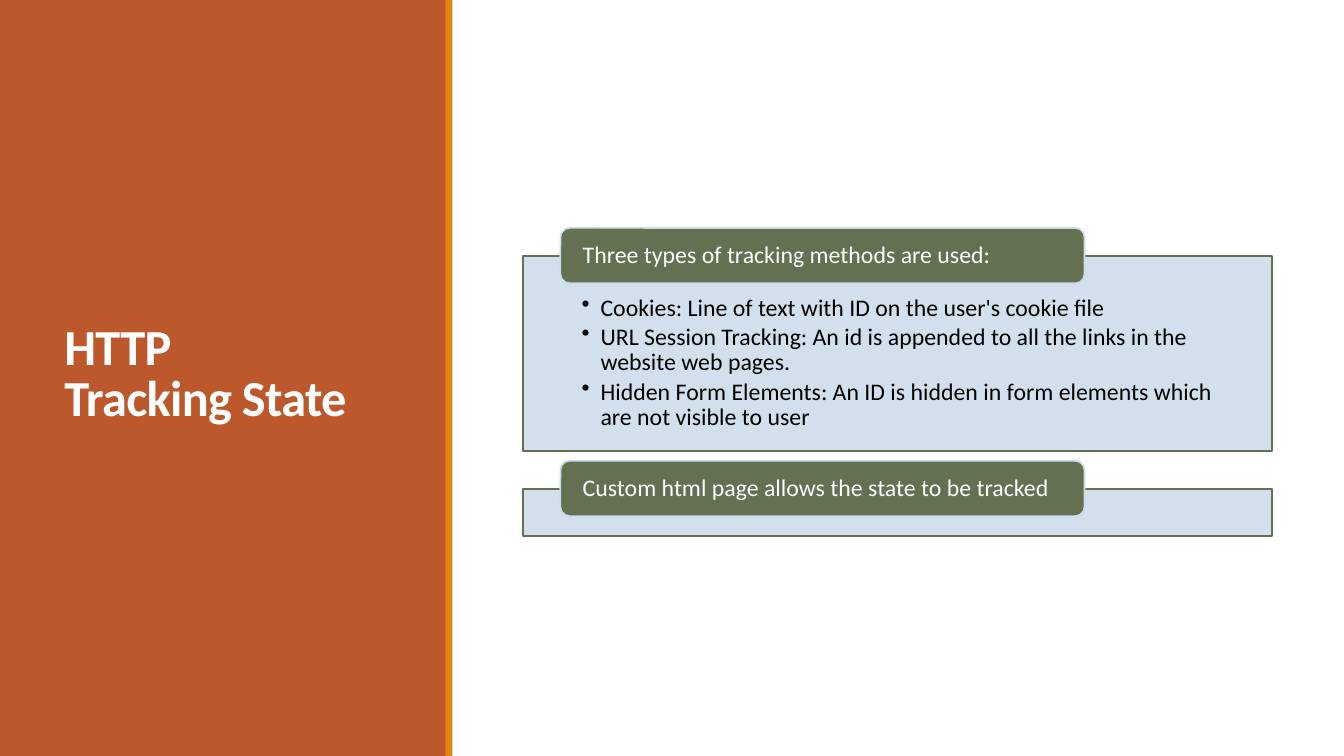
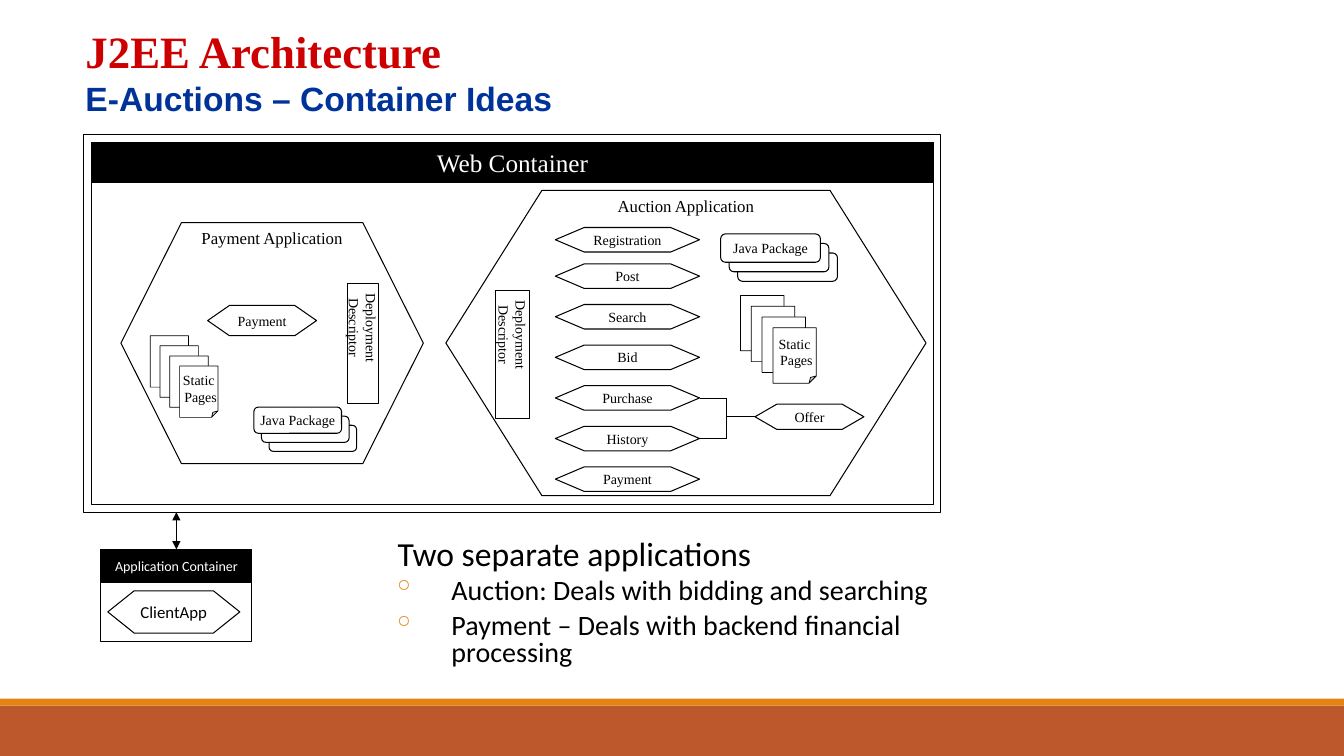
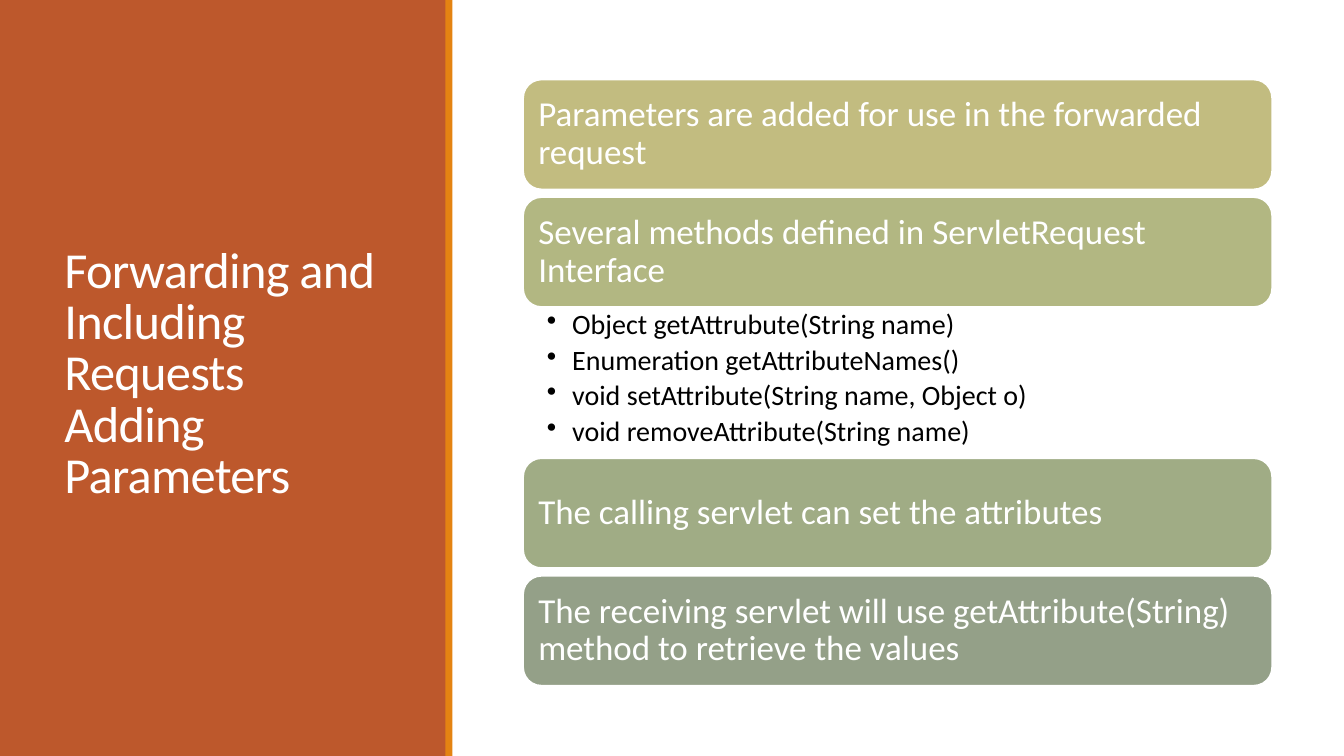
from lxml.etree import SubElement
from pptx import Presentation
from pptx.dml.color import RGBColor as RGB
from pptx.enum.shapes import MSO_CONNECTOR, MSO_SHAPE as Kind
from pptx.enum.text import MSO_ANCHOR as Anchor, PP_ALIGN as Align
from pptx.oxml.ns import qn
from pptx.util import Pt

WIDE, HIGH = 960, 540
RUST, ORANGE = RGB(0xBD, 0x58, 0x2C), RGB(0xE4, 0x83, 0x12)
WHITE, BLACK = RGB(255, 255, 255), RGB(0, 0, 0)
OLIVE, PALE = RGB(0x63, 0x70, 0x52), RGB(0xCC, 0xDD, 0xEA)
RED, BLUE = RGB(0xCC, 0, 0), RGB(0, 0x33, 0x99)
SANS, SERIF, ARIAL = "Calibri", "Times New Roman", "Arial"
HEX, RECT, ROUND, PAGE = (Kind.FLOWCHART_PREPARATION, Kind.RECTANGLE,
                          Kind.ROUNDED_RECTANGLE, Kind.FOLDED_CORNER)
LEFT, SPAN = 373.7, 535  # the column right of the side panel

TRACKING = [
    ("Three types of tracking methods are used:", 139, [
        "Cookies: Line of text with ID on the user's cookie file",
        "URL Session Tracking: An id is appended to all the links in the "
        "website web pages.",
        "Hidden Form Elements: An ID is hidden in form elements which are "
        "not visible to user"]),
    ("Custom html page allows the state to be tracked", 33.8, []),
]

SERVICES = ["Post", "Search", "Bid", "Purchase", "History", "Payment"]
APPS = [
    dict(name="Auction Application", box=(318.5, 136, 343, 218),
         hexes=[("Registration", (396.7, 162.5, 103, 17.5)),
                ("Offer", (539.3, 288.7, 77.8, 18))]
         + [(name, (396.7, 188.5 + 29 * i, 103, 17.5))
            for i, name in enumerate(SERVICES)],
         deploy=(354, 207.5, 24.5, 91.5),
         java=((527, 180.7, 71.2, 20.2), (-6.1, -6.8)),
         pages=((529, 211, 31, 39.6), (7.7, 7.7))),
    dict(name="Payment Application", box=(86.4, 159.1, 216, 172),
         hexes=[("Payment", (148.3, 218.2, 77.8, 21.6))],
         deploy=(248.5, 202.3, 21.6, 85.7),
         java=((192.2, 303.8, 62.6, 18.7), (-5.4, -6.5)),
         pages=((107.3, 239.8, 27.4, 36.7), (7, 7.2))),
]
IDEAS = ["Auction: Deals with bidding and searching",
         "Payment – Deals with backend financial processing"]

REQUESTS = [
    ("Parameters are added for use in the forwarded request",
     RGB(0xC2, 0xBC, 0x80), []),
    ("Several methods defined in ServletRequest Interface",
     RGB(0xB2, 0xB7, 0x82),
     ["Object getAttrubute(String name)", "Enumeration getAttributeNames()",
      "void setAttribute(String name, Object o)",
      "void removeAttribute(String name)"]),
    ("The calling servlet can set the attributes",
     RGB(0xA0, 0xAC, 0x85), []),
    ("The receiving servlet will use getAttribute(String) method to "
     "retrieve the values", RGB(0x94, 0xA0, 0x88), []),
]


def draw(slide, kind, box, fill=WHITE, line=BLACK, weight=0.75):
    shape = slide.shapes.add_shape(kind, *map(Pt, box))
    shape.shadow.inherit = False
    if fill is None:
        shape.fill.background()
    else:
        shape.fill.solid()
        shape.fill.fore_color.rgb = fill
    if line is None:
        shape.line.fill.background()
    else:
        shape.line.color.rgb = line
        shape.line.width = Pt(weight)
    return shape


def label(slide, box):
    return slide.shapes.add_textbox(*map(Pt, box))


def frame(shape, anchor=Anchor.MIDDLE, inset=(7.2, 3.6, 7.2, 3.6), wrap=True):
    text = shape.text_frame
    text.word_wrap, text.vertical_anchor = wrap, anchor
    (text.margin_left, text.margin_top,
     text.margin_right, text.margin_bottom) = map(Pt, inset)


def write(shape, lines, size, color=BLACK, face=SANS, bold=False,
          align=Align.LEFT, lead=1.0, before=0, after=0,
          indent=(0, 0), bullet=None, tint=None, track=0):
    """Append one paragraph per line; indent is (left margin, first line)."""
    text = shape.text_frame
    for line in lines:
        para = text.add_paragraph() if text.text else text.paragraphs[0]
        para.text = line
        props = para._p.get_or_add_pPr()
        props.set("marL", str(Pt(indent[0])))
        props.set("indent", str(Pt(indent[1])))
        if bullet:
            if tint is not None:
                SubElement(SubElement(props, qn("a:buClr")),
                           qn("a:srgbClr")).set("val", str(tint))
            SubElement(props, qn("a:buChar")).set("char", bullet)
        para.alignment, para.line_spacing = align, lead
        para.space_before, para.space_after = Pt(before), Pt(after)
        font = para.font
        font.name, font.size, font.bold = face, Pt(size), bold
        font.color.rgb = color
        if track:
            props.find(qn("a:defRPr")).set("spc", str(track))


def note(slide, kind, box, text, size=10, face=SERIF, color=BLACK, fill=WHITE):
    """Draw a shape with one centred, unwrapped line."""
    shape = draw(slide, kind, box, fill)
    frame(shape, wrap=False)
    write(shape, [text], size, color, face, align=Align.CENTER)
    return shape


def link(slide, start, end, weight=0.5):
    line = slide.shapes.add_connector(MSO_CONNECTOR.STRAIGHT,
                                      *map(Pt, start + end))
    line.line.color.rgb = BLACK
    line.line.width = Pt(weight)
    SubElement(line._element.spPr, qn("a:effectLst"))
    return line


def stack(slide, kind, box, step, count, weight=0.75):
    """Draw overlapping shapes from back to front; return the front one."""
    x, y, w, h = box
    for i in range(count):
        place = (x + i * step[0], y + i * step[1], w, h)
        shape = draw(slide, kind, place, weight=weight)
    return shape


def start(deck):
    return deck.slides.add_slide(deck.slide_layouts[6])


def panel(deck, title, bold=False):
    """Start a slide with the title in a coloured side panel."""
    slide = start(deck)
    draw(slide, RECT, (0, 0, 319, HIGH), RUST, None)
    head = label(slide, (38.9, 41, 242.6, 454.3))
    frame(head)
    write(head, [title], 36, WHITE, bold=bold, lead=0.85, after=6, track=-50)
    draw(slide, RECT, (318.2, 0, 5, HIGH), ORANGE, None)
    return slide


def tracking(deck):
    slide = panel(deck, "HTTP\vTracking State", True)
    top = 183
    for name, tall, points in TRACKING:
        body = draw(slide, RECT, (LEFT, top, SPAN, tall), PALE, OLIVE, 1.25)
        tone = body._element.spPr.find(qn("a:solidFill"))[0]
        SubElement(tone, qn("a:alpha")).set("val", "90000")
        frame(body, Anchor.TOP, (41.8, 28.1, 41.8, 9.4))
        write(body, points, 17, lead=0.9, after=2.5,
              indent=(13.5, -13.5), bullet="•")
        tab = draw(slide, ROUND, (400.3, top - 20.2, 374.4, 39.6),
                   OLIVE, PALE, 1.25)
        frame(tab, inset=(14, 0, 14, 0))
        write(tab, [name], 17, WHITE, lead=0.9)
        top += tall + 27.3


def app(slide, name, box, hexes, deploy, java, pages):
    """Draw one application and return its hexagons by name."""
    outer = draw(slide, HEX, box)
    frame(outer, Anchor.TOP)
    write(outer, [name], 12, face=SERIF, align=Align.CENTER)
    parts = {text: note(slide, HEX, place, text) for text, place in hexes}
    side = draw(slide, RECT, deploy)
    frame(side)
    side.text_frame._txBody.bodyPr.set("vert", "eaVert")
    write(side, ["Deployment Descriptor"], 10, face=SERIF, align=Align.CENTER)
    card = stack(slide, ROUND, *java, 3)
    frame(card, wrap=False)
    write(card, ["Java Package"], 10, face=SERIF, align=Align.CENTER)
    sheet = stack(slide, PAGE, *pages, 4, 0.5)
    frame(sheet, inset=(0, 0, 0, 0))
    write(sheet, ["Static", " Pages"], 10, face=SERIF, align=Align.CENTER)
    return parts


def join(slide, parts):
    """Bracket Purchase and History together and lead them to Offer."""
    trunk, ends = 519.1, []
    for name in ("Purchase", "History"):
        part = parts[name]
        mid = (part.top + part.height / 2) / Pt(1)
        link(slide, (499.7, mid), (trunk, mid)).begin_connect(part, 3)
        ends.append((trunk, mid))
    link(slide, *ends)
    link(slide, (trunk, 297.7), (539.3, 297.7)).end_connect(parts["Offer"], 1)


def auctions(deck):
    slide = start(deck)
    draw(slide, RECT, (0, 504, WIDE, 36), RUST, None)
    draw(slide, RECT, (0, 499, WIDE, 5), ORANGE, None)
    head = label(slide, (54, 5.8, 612, 90))
    frame(head)
    write(head, ["J2EE Architecture"], 32, RED, SERIF, True)
    write(head, ["E-Auctions – Container Ideas"], 24, BLUE, ARIAL, True)

    parts = [app(slide, **item) for item in APPS]
    join(slide, parts[0])
    draw(slide, RECT, (59.8, 95.8, 612, 270), None, weight=0.5)
    draw(slide, RECT, (65.5, 101.5, 601.2, 258.5), None, weight=0.5)
    note(slide, RECT, (65.5, 101.5, 601.2, 28.8), "Web Container", 18,
         color=WHITE, fill=BLACK)

    client = note(slide, RECT, (72, 392.4, 108, 23.8),
                  "Application Container", face=SANS, color=WHITE, fill=BLACK)
    draw(slide, RECT, (72, 416.2, 108, 41.8))
    note(slide, HEX, (77, 422, 94.3, 30.2), "ClientApp", 12, SANS)
    arrow = link(slide, (126, 365.8), (126, 392.4), 0.75)
    arrow.end_connect(client, 0)
    for end in ("a:headEnd", "a:tailEnd"):
        SubElement(arrow.line._get_or_add_ln(), qn(end)).set("type", "triangle")

    body = label(slide, (229, 383, 509.8, 113.8))
    frame(body, Anchor.TOP)
    write(body, ["Two separate applications"], 24, lead=0.8, before=12,
          after=2, indent=(48, 0))
    write(body, IDEAS, 20, lead=0.8, before=2, after=4,
          indent=(86.4, -41.8), bullet="◦", tint=ORANGE)


def requests(deck):
    slide = panel(deck,
                  "Forwarding and Including Requests\vAdding Parameters")
    top, tall, gap, room = 56.8, 78.5, 5.5, 108
    for name, color, points in REQUESTS:
        bar = draw(slide, ROUND, (LEFT, top, SPAN, tall), color, WHITE, 1.25)
        frame(bar, inset=(7, 7, 7, 7))
        write(bar, [name], 25, WHITE, lead=0.9)
        top += tall
        if points:
            body = label(slide, (LEFT, top, SPAN, room))
            frame(body, Anchor.TOP, (17, 2.2, 13.7, 2.2))
            write(body, points, 20, lead=0.9, after=4,
                  indent=(18, -18), bullet="•")
        top += room if points else gap


def main():
    deck = Presentation()
    deck.slide_width, deck.slide_height = Pt(WIDE), Pt(HIGH)
    for build in (tracking, auctions, requests):
        build(deck)
    deck.save("out.pptx")


if __name__ == "__main__":
    main()
